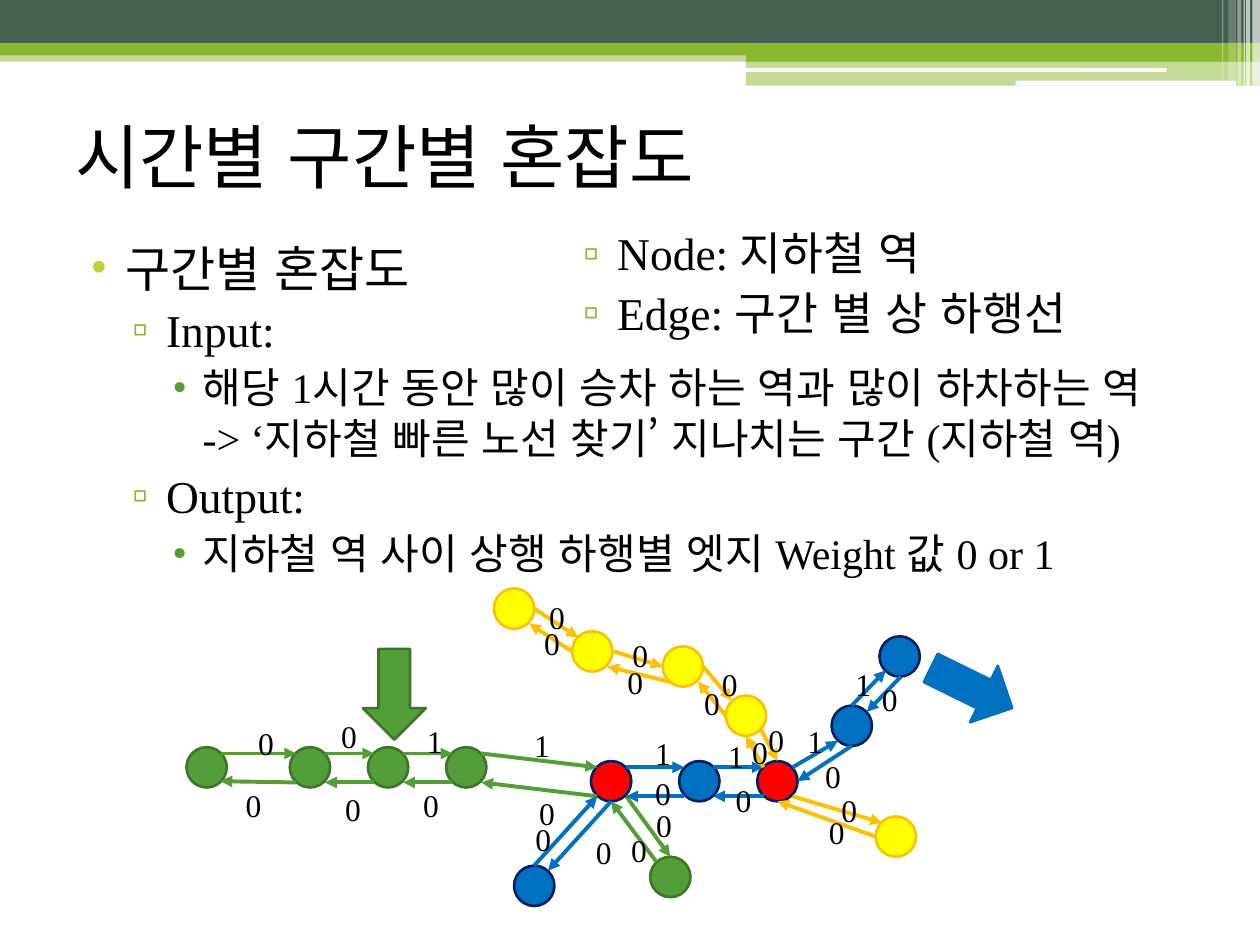
from lxml.etree import SubElement
from pptx import Presentation
from pptx.dml.color import RGBColor
from pptx.enum.lang import MSO_LANGUAGE_ID as Lang
from pptx.enum.shapes import MSO_CONNECTOR as Connector, MSO_SHAPE as Shape
from pptx.enum.text import MSO_ANCHOR as Anchor, MSO_AUTO_SIZE as AutoSize
from pptx.oxml.ns import qn
from pptx.util import Inches, Pt

COLORS = {
    "black": "000000", "white": "FFFFFF", "pine": "455F51", "lime": "8AB833",
    "olive": "C0CF3A", "green": "549E39", "moss": "3E752A", "blue": "0070C0",
    "navy": "002060", "red": "FF0000", "yellow": "FFFF00", "amber": "FFC000",
}
FONT = "Times New Roman"
LEVELS = [
    (0.4, -0.28, "•", "olive", 28),
    (0.72, -0.27, "▫", "lime", 26),
    (1.01, -0.24, "•", "green", 24),
]

prs = Presentation()
prs.slide_width, prs.slide_height = Inches(10), Inches(7.5)
slide = prs.slides.add_slide(prs.slide_layouts[6])


def add_text(text, at, size=18, levels=(), anchor=Anchor.TOP, wrap=True):
    box = slide.shapes.add_textbox(*map(Inches, at))
    frame = box.text_frame
    frame.word_wrap = wrap
    frame.auto_size = AutoSize.NONE if wrap else AutoSize.SHAPE_TO_FIT_TEXT
    frame.vertical_anchor = anchor
    frame.text = text
    for index, paragraph in enumerate(frame.paragraphs):
        points = size
        if levels:
            margin, indent, bullet, color, points = LEVELS[levels[index]]
            paragraph.level = levels[index]
            paragraph.space_before = Pt(3)
            props = paragraph._p.get_or_add_pPr()
            props.set("marL", str(Inches(margin)))
            props.set("indent", str(Inches(indent)))
            bullet_color = SubElement(props, qn("a:buClr"))
            SubElement(bullet_color, qn("a:srgbClr"), val=COLORS[color])
            SubElement(props, qn("a:buFont"), typeface=FONT)
            SubElement(props, qn("a:buChar"), char=bullet)
        for run in paragraph.runs:
            run.font.name = FONT
            run.font.size = Pt(points)
            run.font.language_id = Lang.KOREAN
            run.font.color.rgb = RGBColor.from_string(COLORS["black"])


def add_block(kind, at, fill, outline=None, opacity=100, rotation=0):
    block = slide.shapes.add_shape(kind, *map(Inches, at))
    block.shadow.inherit = False
    block.rotation = rotation
    block.fill.solid()
    block.fill.fore_color.rgb = RGBColor.from_string(COLORS[fill])
    if opacity < 100:
        fill_color = block.element.spPr.find(qn("a:solidFill"))[0]
        SubElement(fill_color, qn("a:alpha"), val=str(opacity * 1000))
    if outline:
        block.line.color.rgb = RGBColor.from_string(COLORS[outline])
        block.line.width = Pt(1.5)
    else:
        block.line.fill.background()


for kind, at, fill, opacity in [
    (Shape.RECTANGLE, (0, 0.4, 10, 0.09), "lime", 50),
    (Shape.RECTANGLE, (0, 0, 10, 0.34), "pine", 100),
    (Shape.RECTANGLE, (0, 0.34, 10, 0.1), "lime", 100),
    (Shape.RECTANGLE, (5.92, 0.39, 4.08, 0.1), "lime", 100),
    (Shape.RECTANGLE, (5.92, 0.48, 4.08, 0.2), "lime", 50),
    (Shape.ROUNDED_RECTANGLE, (5.91, 0.54, 3.35, 0.03), "white", 100),
    (Shape.ROUNDED_RECTANGLE, (8.06, 0.64, 1.75, 0.04), "white", 100),
    (Shape.RECTANGLE, (9.94, 0, 0.06, 0.68), "white", 65),
    (Shape.RECTANGLE, (9.89, 0, 0.03, 0.68), "white", 65),
    (Shape.RECTANGLE, (9.87, 0, 0.01, 0.68), "white", 60),
    (Shape.RECTANGLE, (9.82, 0, 0.03, 0.68), "white", 40),
    (Shape.RECTANGLE, (9.75, 0, 0.06, 0.64), "white", 20),
    (Shape.RECTANGLE, (9.7, 0, 0.01, 0.64), "white", 30),
]:
    add_block(kind, at, fill, opacity=opacity)

add_text("시간별 구간별 혼잡도", (0.5, 0.65, 9, 1.17), size=40, anchor=Anchor.MIDDLE)
add_text(
    "구간별 혼잡도\nInput:\n"
    "해당 1시간 동안 많이 승차 하는 역과 많이 하차하는 역 \v"
    "-> ‘지하철 빠른 노선 찾기’ 지나치는 구간 (지하철 역)\n"
    "Output:\n지하철 역 사이 상행 하행별 엣지 Weight 값 0 or 1",
    (0.5, 1.84, 9.5, 5.35), levels=(0, 1, 2, 1, 2),
)

stations = {
    ("green", "moss"): [(1.48, 5.93), (2.3, 5.93), (2.92, 5.93), (3.54, 5.93),
                        (5.16, 6.8)],
    ("red", "navy"): [(4.69, 6.04), (6.01, 6.04)],
    ("blue", "navy"): [(5.39, 6.04), (6.6, 5.6), (6.98, 5.05), (4.08, 6.87)],
    ("yellow", "amber"): [(5.76, 5.52), (3.92, 4.67), (4.54, 5.01), (5.26, 5.13),
                          (6.95, 6.48)],
}
for (fill, outline), places in stations.items():
    for left, top in places:
        add_block(Shape.OVAL, (left, top, 0.32, 0.32), fill, outline)

tracks = {
    "green": [
        (1.75, 5.98, 2.35, 5.98), (2.35, 6.21, 1.75, 6.2),
        (2.58, 5.98, 2.97, 5.98), (2.97, 6.21, 2.58, 6.21),
        (3.2, 5.98, 3.59, 5.98), (3.59, 6.21, 3.2, 6.21),
        (3.82, 5.98, 4.74, 6.09), (4.74, 6.32, 3.82, 6.21),
        (4.97, 6.32, 5.32, 6.8), (5.21, 6.84, 4.85, 6.36),
    ],
    "blue": [
        (4.24, 6.87, 4.74, 6.32), (4.85, 6.36, 4.35, 6.91),
        (5.43, 6.32, 4.97, 6.32), (4.97, 6.09, 5.43, 6.09),
        (6.06, 6.32, 5.66, 6.32), (5.66, 6.09, 6.06, 6.09),
        (6.76, 5.92, 6.33, 6.2), (6.29, 6.09, 6.65, 5.88),
        (7.15, 5.37, 6.88, 5.65), (6.76, 5.6, 7.03, 5.32),
    ],
    "amber": [
        (4.54, 5.17, 4.2, 4.95), (4.24, 4.83, 4.59, 5.06),
        (5.31, 5.41, 4.82, 5.29), (4.87, 5.17, 5.26, 5.29),
        (5.76, 5.68, 5.54, 5.41), (5.58, 5.29, 5.81, 5.56),
        (6.06, 6.09, 5.92, 5.84), (6.04, 5.79, 6.17, 6.04),
        (6.95, 6.64, 6.17, 6.36), (6.29, 6.32, 7, 6.53),
    ],
}
for color, edges in tracks.items():
    for ends in edges:
        edge = slide.shapes.add_connector(Connector.STRAIGHT, *map(Inches, ends))
        edge.line.color.rgb = RGBColor.from_string(COLORS[color])
        edge.line.width = Pt(2.25)
        SubElement(edge.line._get_or_add_ln(), qn("a:tailEnd"), type="triangle")
        SubElement(edge.element.spPr, qn("a:effectLst"))

add_block(Shape.DOWN_ARROW, (2.88, 5.15, 0.5, 0.72), "green", "moss")
add_block(Shape.DOWN_ARROW, (7.46, 5.1, 0.5, 0.72), "blue", "blue", rotation=296.2)

weights = {
    "1": [(3.29, 5.68), (4.14, 5.71), (5.1, 5.78), (5.68, 5.8), (6.31, 5.68),
          (6.69, 5.23)],
    "0": [(1.95, 5.7), (2.61, 5.64), (1.85, 6.19), (2.64, 6.22), (3.26, 6.19),
          (4.18, 6.25), (4.63, 6.56), (4.15, 6.46), (5.11, 6.35), (4.91, 6.55),
          (5.1, 6.09), (5.74, 6.15), (6.48, 6.4), (6.58, 6.23), (6, 5.67),
          (5.87, 5.77), (5.63, 5.23), (5.49, 5.38), (4.92, 5), (4.88, 5.21),
          (4.26, 4.7), (4.22, 4.9), (6.45, 5.96), (6.9, 5.35)],
}
for weight, places in weights.items():
    for left, top in places:
        add_text(weight, (left, top, 0.28, 0.34), wrap=False)

add_text("Node: 지하철 역\nEdge: 구간 별 상 하행선", (4.08, 1.74, 6.98, 1.17), levels=(1, 1))

prs.save("out.pptx")
